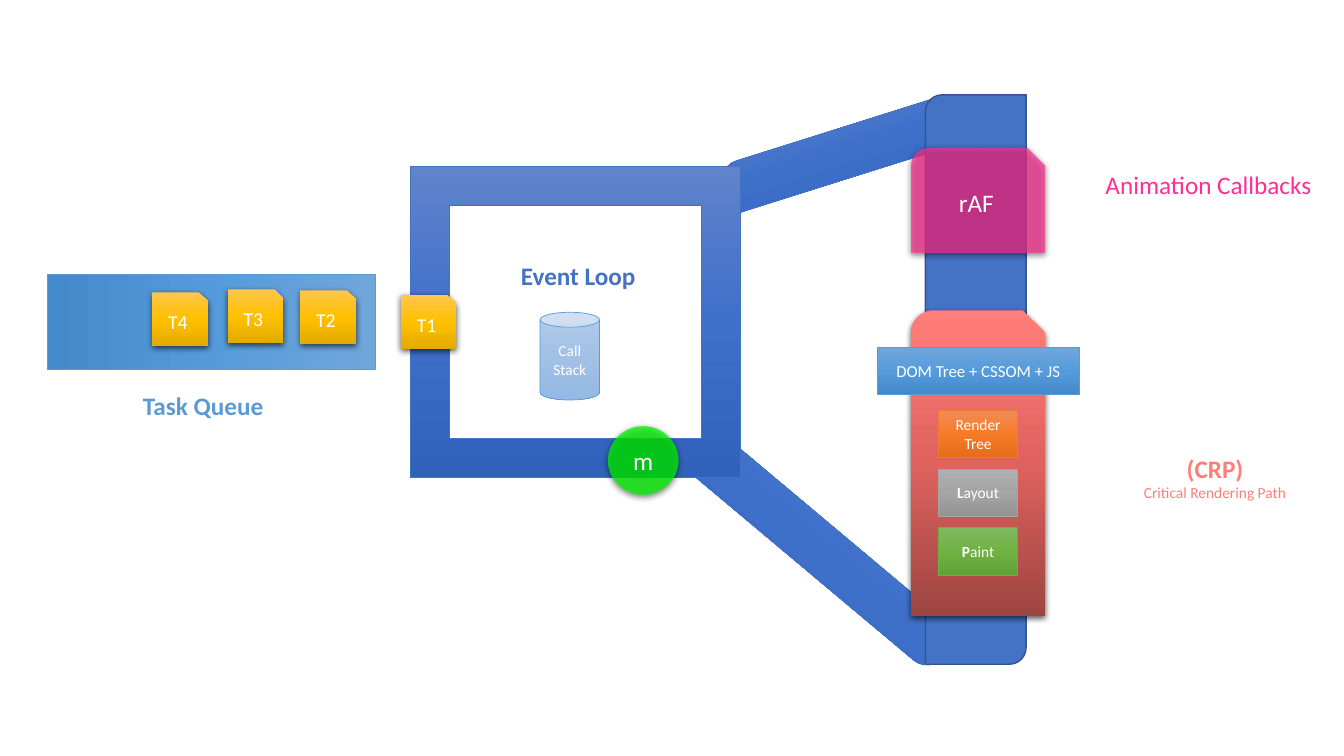
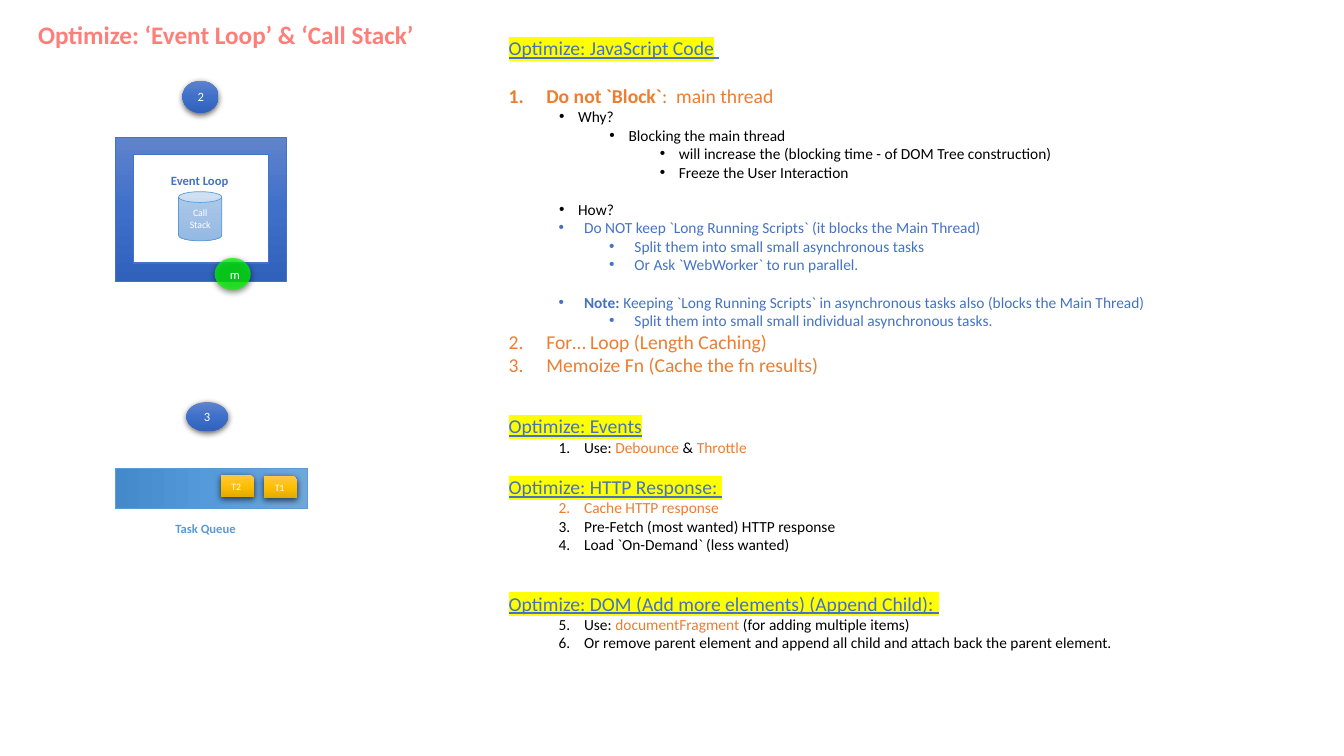
from lxml.etree import SubElement
from pptx import Presentation
from pptx.dml.color import RGBColor
from pptx.enum.shapes import MSO_SHAPE
from pptx.enum.text import MSO_ANCHOR, MSO_AUTO_SIZE, PP_ALIGN
from pptx.oxml.ns import qn
from pptx.util import Cm, Pt

FONT = "Calibri"
COLORS = {
    "blue": "4472C4", "navy": "325491", "sky": "5B9BD5", "orange": "ED7D31",
    "gray": "A5A5A5", "green": "70AD47", "pink": "FF2F92", "coral": "FF7E79",
    "lime": "00FA00", "yellow": "FFFF00", "white": "FFFFFF", "black": "000000",
}
GRADIENTS = {
    "blue": ("6183CB", "3E70CA", "3062BB"),
    "sky": ("71A6DB", "559BDB", "448ACA"),
    "pale": ("B1CBE9", "A3C1E5", "93B9E4"),
    "gold": ("FFC64B", "FFC000", "E3AB00"),
    "coral": ("FF7E79", "DF625E", "9D4542"),
    "orange": ("F18C57", "F67B28", "E56C19"),
    "gray": ("AFAFAF", "A5A5A5", "939393"),
    "green": ("81B861", "6FB242", "62A336"),
}
BLACK, BLUE, ORANGE = ({"size": 11, "color": name} for name in ("black", "blue", "orange"))
HEADING = {"size": 14, "color": "blue", "underline": True, "highlight": "yellow"}
ITEM = {"size": 14, "color": "orange"}

OUTLINE = [
    (0, 0, 0, None, 0, [("Optimize: JavaScript Code", HEADING),
                        (" ", {**HEADING, "highlight": None})]),
    (0, 0.95, 0.95, 1, 17, [("Do not `Block`", {**ITEM, "bold": True}), (":  main thread", ITEM)]),
    (1, 1.75, 0.48, "•", 0, [("Why?", BLACK)]),
    (2, 3.02, 0.48, "•", 0, [("Blocking the main thread", BLACK)]),
    (3, 4.29, 0.48, "•", 0,
     [("will increase the (blocking time - of DOM Tree construction)", BLACK)]),
    (3, 4.29, 0.48, "•", 0, [("Freeze the User Interaction", BLACK)]),
    (1, 1.75, 0.48, "•", 13.4, [("How?", BLACK)]),
    (1, 1.9, 0.64, "•", 0,
     [("Do NOT keep `Long Running Scripts` (it blocks the Main Thread)", BLUE)]),
    (2, 3.17, 0.64, "•", 0, [("Split them into small small asynchronous tasks", BLUE)]),
    (2, 3.17, 0.64, "•", 0, [("Or Ask `WebWorker` to run parallel.", BLUE)]),
    (1, 1.9, 0.64, "•", 13.4,
     [("Note:", {**BLUE, "bold": True}),
      (" Keeping `Long Running Scripts` in asynchronous tasks also (blocks the Main Thread)", BLUE)]),
    (2, 3.17, 0.64, "•", 0,
     [("Split them into small small individual asynchronous tasks.", BLUE)]),
    (0, 0.95, 0.95, 2, 0, [("For… Loop (Length Caching)", ITEM)]),
    (0, 0.95, 0.95, 3, 0, [("Memoize Fn (Cache the fn results)", ITEM)]),
    (0, 0, 0, None, 26.8, [("Optimize: Events", HEADING)]),
    (1, 1.9, 0.64, 1, 0, [("Use: ", BLACK), ("Debounce", ORANGE), (" & ", BLACK),
                          ("Throttle", ORANGE)]),
    (0, 0, 0, None, 13.4, [("Optimize: HTTP Response: ", HEADING)]),
    (1, 1.9, 0.64, 2, 0, [("Cache HTTP response", ORANGE)]),
    (1, 1.9, 0.64, 3, 0, [("Pre-Fetch (most wanted) HTTP response", BLACK)]),
    (1, 1.9, 0.64, 4, 0, [("Load `On-Demand` (less wanted)", BLACK)]),
    (0, 0, 0, None, 26.8, [("Optimize: DOM (Add more elements) (Append Child): ", HEADING)]),
    (1, 1.9, 0.64, 5, 0, [("Use: ", BLACK), ("documentFragment ", ORANGE),
                          ("(for adding multiple items)", BLACK)]),
    (1, 1.9, 0.64, 6, 0,
     [("Or remove parent element and append all child and attach back the parent element.", BLACK)]),
]


def rgb(name):
    return RGBColor.from_string(COLORS[name])


def inside(box, left, top, width, height):
    return box[0] + left, box[1] + top, width, height


def write(paragraph, text, size=18, color="white", bold=False, underline=False,
          highlight=None, align=None):
    run = paragraph.add_run()
    run.text = text
    run.font.size = Pt(size)
    run.font.bold = bold
    run.font.underline = underline
    run.font.color.rgb = rgb(color)
    if highlight:
        mark = SubElement(run.font._element, qn("a:highlight"))
        SubElement(mark, qn("a:srgbClr"), val=COLORS[highlight])
    run.font.name = FONT
    if align is not None:
        paragraph.alignment = align


def add_block(slide, kind, box, color=None, gradient=None, angle=270, alpha=None,
              line=None, line_width=0.5, shadow=False, rotation=0, text=None, **text_format):
    shape = slide.shapes.add_shape(kind, *map(Cm, box))
    shape.rotation = rotation
    properties = shape.element.spPr
    if gradient:
        shape.fill.gradient()
        shape.fill.gradient_angle = angle
        stops = properties.find(".//" + qn("a:gsLst"))
        for stop in list(stops):
            stops.remove(stop)
        for position, value in zip((0, 50000, 100000), GRADIENTS[gradient]):
            stop = SubElement(stops, qn("a:gs"), pos=str(position))
            SubElement(stop, qn("a:srgbClr"), val=value)
    else:
        shape.fill.solid()
        shape.fill.fore_color.rgb = rgb(color)
        if alpha:
            fill_color = properties.find(qn("a:solidFill")).find(qn("a:srgbClr"))
            SubElement(fill_color, qn("a:alpha"), val=str(alpha * 1000))
    if line:
        shape.line.color.rgb = rgb(line)
        shape.line.width = Pt(line_width)
    else:
        shape.line.fill.background()
    shape.shadow.inherit = False
    if shadow:
        outer = SubElement(properties.find(qn("a:effectLst")), qn("a:outerShdw"),
                           blurRad="57150", dist="19050", dir="5400000",
                           algn="ctr", rotWithShape="0")
        shade = SubElement(outer, qn("a:srgbClr"), val=COLORS["black"])
        SubElement(shade, qn("a:alpha"), val="63000")
    shape.text_frame.word_wrap = True
    shape.text_frame.vertical_anchor = MSO_ANCHOR.MIDDLE
    if text:
        write(shape.text_frame.paragraphs[0], text, align=PP_ALIGN.CENTER, **text_format)
    return shape


def add_text_box(slide, box, wrap=False, fit=True):
    frame = slide.shapes.add_textbox(*map(Cm, box)).text_frame
    frame.word_wrap = wrap
    frame.auto_size = MSO_AUTO_SIZE.SHAPE_TO_FIT_TEXT if fit else MSO_AUTO_SIZE.NONE
    return frame


def add_label(slide, box, text, **text_format):
    frame = add_text_box(slide, box)
    write(frame.paragraphs[0], text, **text_format)
    return frame


def add_event_loop(slide, box, label, stack, marker, label_size, stack_size):
    add_block(slide, MSO_SHAPE.FRAME, box, gradient="blue", line="blue")
    add_label(slide, inside(box, *label), "Event Loop", size=label_size, color="blue", bold=True)
    add_block(slide, MSO_SHAPE.CAN, inside(box, *stack), gradient="pale", line="sky",
              text="Call Stack", size=stack_size, color="sky")
    add_block(slide, MSO_SHAPE.OVAL, inside(box, *marker), color="lime", alpha=73,
              shadow=True, text="m", size=label_size)


def add_task_queue(slide, box, label, tasks, task_box, label_size, task_size):
    add_block(slide, MSO_SHAPE.RECTANGLE, box, gradient="sky", angle=180, line="sky")
    for name, left, top in tasks:
        add_block(slide, MSO_SHAPE.SNIP_1_RECTANGLE, inside(box, left, top, *task_box),
                  gradient="gold", shadow=True, text=name, size=task_size)
    add_label(slide, inside(box, *label), "Task Queue", size=label_size, color="sky", bold=True)


def add_bands(slide):
    for box, rotation in (((16.99, 13.36, 7.75, 1.27), 40), ((18.11, 3.28, 5.99, 1.27), 342.5)):
        band = add_block(slide, MSO_SHAPE.ROUND_2_DIAG_RECTANGLE, box, gradient="blue",
                         line="blue", rotation=rotation)
        band.adjustments[0] = 0.41
        band.adjustments[1] = 0


def add_rendering_column(slide, box):
    add_block(slide, MSO_SHAPE.ROUND_2_DIAG_RECTANGLE, box, color="blue", line="navy", line_width=1)
    add_block(slide, MSO_SHAPE.SNIP_ROUND_RECTANGLE, inside(box, -0.36, 1.34, 3.38, 2.64),
              color="pink", alpha=70, shadow=True, text="rAF")
    add_block(slide, MSO_SHAPE.SNIP_ROUND_RECTANGLE, inside(box, -0.36, 5.43, 3.38, 7.7),
              gradient="coral", shadow=True)
    stages = (("", "Render Tree", "orange"), ("L", "ayout", "gray"), ("P", "aint", "green"))
    for index, (initial, rest, color) in enumerate(stages):
        stage = add_block(slide, MSO_SHAPE.RECTANGLE,
                          inside(box, 0.34, 7.95 + 1.48 * index, 1.98, 1.19),
                          gradient=color, line=color, text=initial, size=11, bold=True)
        write(stage.text_frame.paragraphs[0], rest, size=11, align=PP_ALIGN.CENTER)
    add_block(slide, MSO_SHAPE.RECTANGLE, inside(box, -1.22, 6.37, 5.11, 1.19),
              gradient="sky", line="sky", text="DOM Tree + CSSOM + JS", size=12)
    add_label(slide, inside(box, 4.29, 1.75, 5.89, 1.02), "Animation Callbacks", color="pink")
    frame = add_label(slide, inside(box, 5.23, 8.91, 4.14, 1.5), "(CRP)", color="coral",
                      bold=True, align=PP_ALIGN.CENTER)
    write(frame.add_paragraph(), "Critical Rendering Path", size=11, color="coral",
          align=PP_ALIGN.CENTER)


def add_outline(slide, box):
    frame = add_text_box(slide, box, wrap=True)
    for index, (level, margin, hanging, bullet, gap, runs) in enumerate(OUTLINE):
        paragraph = frame.add_paragraph() if index else frame.paragraphs[0]
        paragraph.level = level
        paragraph.space_before = Pt(gap)
        for text, text_format in runs:
            write(paragraph, text, **text_format)
        properties = paragraph._element.get_or_add_pPr()
        properties.set("marL", str(Cm(margin)))
        properties.set("indent", str(-Cm(hanging)))
        if bullet == "•":
            SubElement(properties, qn("a:buFont"), typeface="Arial")
            SubElement(properties, qn("a:buChar"), char=bullet)
        elif bullet:
            SubElement(properties, qn("a:buFont"), typeface="+mj-lt")
            SubElement(properties, qn("a:buAutoNum"), type="arabicPeriod", startAt=str(bullet))


def add_title(slide, box, text):
    frame = add_text_box(slide, box, wrap=True, fit=False)
    write(frame.paragraphs[0], text, color="coral", bold=True)
    frame.paragraphs[0].line_spacing = 0.9


def build_overview(slide):
    add_bands(slide)
    add_event_loop(slide, (10.34, 4.19, 8.33, 7.85), label=(2.54, 2.24, 3.43, 1.02),
                   stack=(3.27, 3.68, 1.5, 2.21), marker=(4.98, 6.55, 1.78, 1.73),
                   label_size=18, stack_size=11)
    add_task_queue(slide, (1.19, 6.91, 8.26, 2.41), label=(2.16, 2.79, 3.58, 1.02),
                   tasks=(("T1", 8.92, 0.53), ("T4", 2.65, 0.46), ("T3", 4.55, 0.38),
                          ("T2", 6.38, 0.41)),
                   task_box=(1.4, 1.35), label_size=18, task_size=14)
    add_rendering_column(slide, (23.32, 2.39, 2.54, 14.35))


def build_optimization(slide):
    add_outline(slide, (12.57, 0.79, 20.85, 16.33))
    add_title(slide, (0.71, 0.46, 14.66, 1.57), "Optimize: ‘Event Loop’ & ‘Call Stack’")
    add_event_loop(slide, (2.92, 3.45, 4.29, 3.63), label=(1.14, 0.79, 1.98, 0.64),
                   stack=(1.58, 1.38, 1.09, 1.24), marker=(2.49, 3.05, 0.91, 0.81),
                   label_size=9, stack_size=7)
    add_task_queue(slide, (2.91, 11.8, 4.85, 1.02), label=(1.26, 1.2, 2.08, 0.64),
                   tasks=(("T2", 2.65, 0.16), ("T1", 3.74, 0.19)),
                   task_box=(0.84, 0.56), label_size=9, task_size=7)
    for number, box in (("2", (4.6, 2.03, 0.91, 0.81)), ("3", (4.7, 10.13, 1.04, 0.74))):
        add_block(slide, MSO_SHAPE.OVAL, box, gradient="blue", shadow=True, text=number, size=9)


def main():
    presentation = Presentation()
    presentation.slide_width = Cm(33.87)
    presentation.slide_height = Cm(19.05)
    for build in (build_overview, build_optimization):
        build(presentation.slides.add_slide(presentation.slide_layouts[6]))
    presentation.save("out.pptx")


if __name__ == "__main__":
    main()
